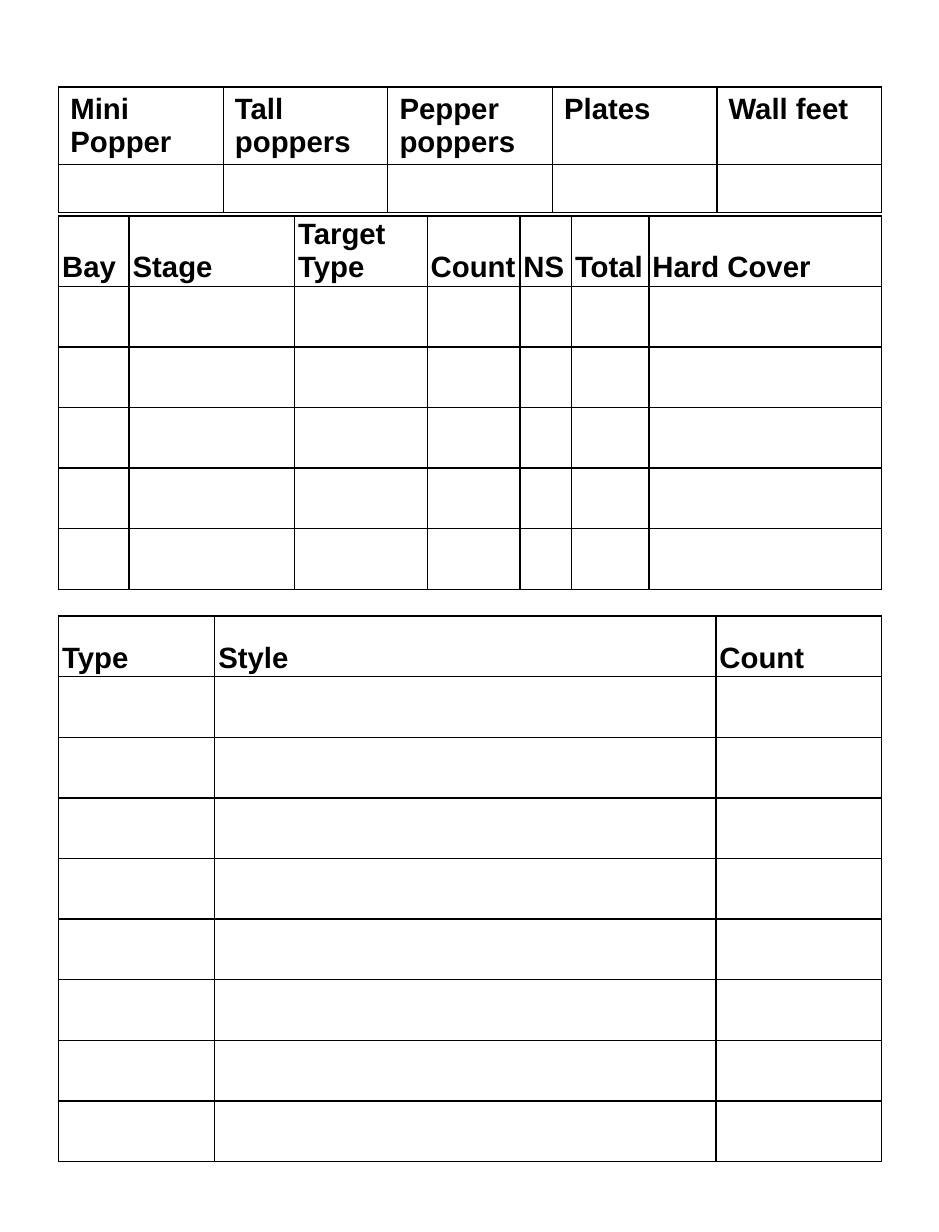
from lxml import etree
from pptx import Presentation
from pptx.dml.color import RGBColor
from pptx.enum import text
from pptx.oxml import ns
from pptx.util import Inches, Pt

COLORS = {"ink": "000000", "paper": "FFFFFF"}
FONT = "Arial"
ROW_H = 4.65 / 9  # shared height of the rows to fill in by hand
LEFT, WIDTH = 0.5, 7.01


def write(tf, words, size=18, bold=True, color="ink"):
    p = tf.paragraphs[0]
    r = p.add_run()
    r.text = words
    r.font.name, r.font.size, r.font.bold = FONT, Pt(size), bold
    r.font.color.rgb = RGBColor.from_string(COLORS[color])


def set_borders(cell, width=1):
    tc_pr = cell._tc.get_or_add_tcPr()
    for side in ("a:lnL", "a:lnR", "a:lnT", "a:lnB"):
        ln = etree.SubElement(tc_pr, ns.qn(side), w=str(Pt(width)))
        fill = etree.SubElement(ln, ns.qn("a:solidFill"))
        etree.SubElement(fill, ns.qn("a:srgbClr"), val=COLORS["ink"])


def add_form(s, box, headers, widths, heights, tight=True):
    """Draw a form table: one header row above empty rows."""
    frame = s.shapes.add_table(len(heights), len(headers), *map(Inches, box))
    table = frame.table
    table.first_row = table.horz_banding = False
    for col, width in zip(table.columns, widths):
        col.width = Inches(width)
    for row, height in zip(table.rows, heights):
        row.height = Inches(height)
    for cell in table.iter_cells():
        set_borders(cell)
        cell.fill.solid()
        cell.fill.fore_color.rgb = RGBColor.from_string(COLORS["paper"])
    for cell, words in zip(table.rows[0].cells, headers):
        write(cell.text_frame, words)
        if tight:
            cell.vertical_anchor = text.MSO_ANCHOR.BOTTOM
            cell.margin_left = cell.margin_right = Inches(0.03)
            cell.margin_top = cell.margin_bottom = Inches(0.02)


def main():
    prs = Presentation()
    prs.slide_width, prs.slide_height = Inches(8), Inches(10.5)
    s = prs.slides.add_slide(prs.slide_layouts[6])

    # Steel and wall totals
    totals = ["Mini Popper", "Tall poppers", "Pepper poppers", "Plates", "Wall feet"]
    add_form(s, (LEFT, 0.74, WIDTH, 1.07), totals,
             [WIDTH / len(totals)] * len(totals), [0.66, 0.41], tight=False)

    # Targets for each stage
    add_form(s, (LEFT, 1.84, WIDTH, 3.18),
             ["Bay", "Stage", "Target Type", "Count", "NS", "Total", "Hard Cover"],
             [0.6, 1.41, 1.13, 0.79, 0.44, 0.66, 1.98], [0.6] + [ROW_H] * 5)

    # Other props
    add_form(s, (LEFT, 5.25, WIDTH, 4.65), ["Type", "Style", "Count"],
             [1.33, 4.27, 1.41], [ROW_H] * 9)

    prs.save("out.pptx")


if __name__ == "__main__":
    main()
